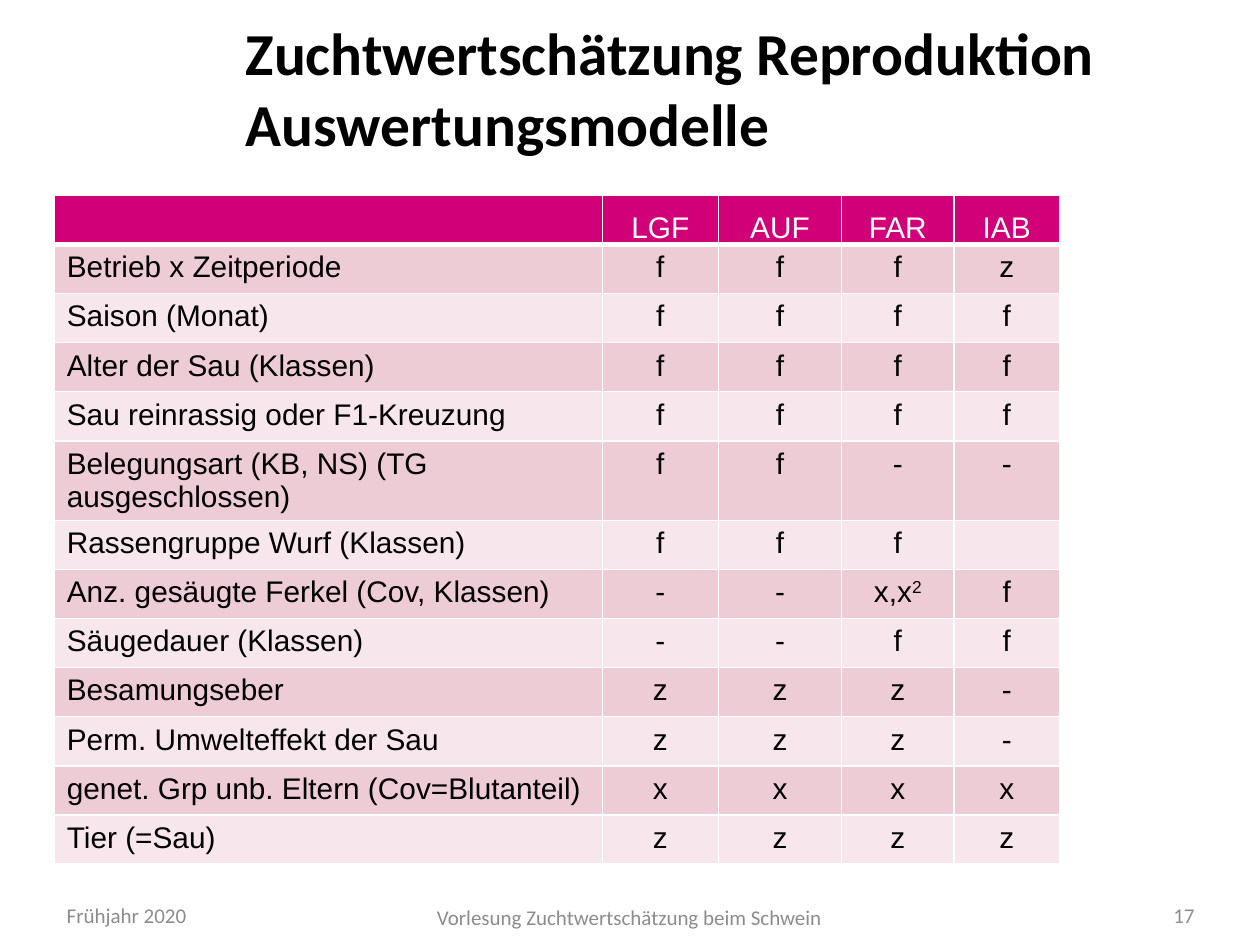
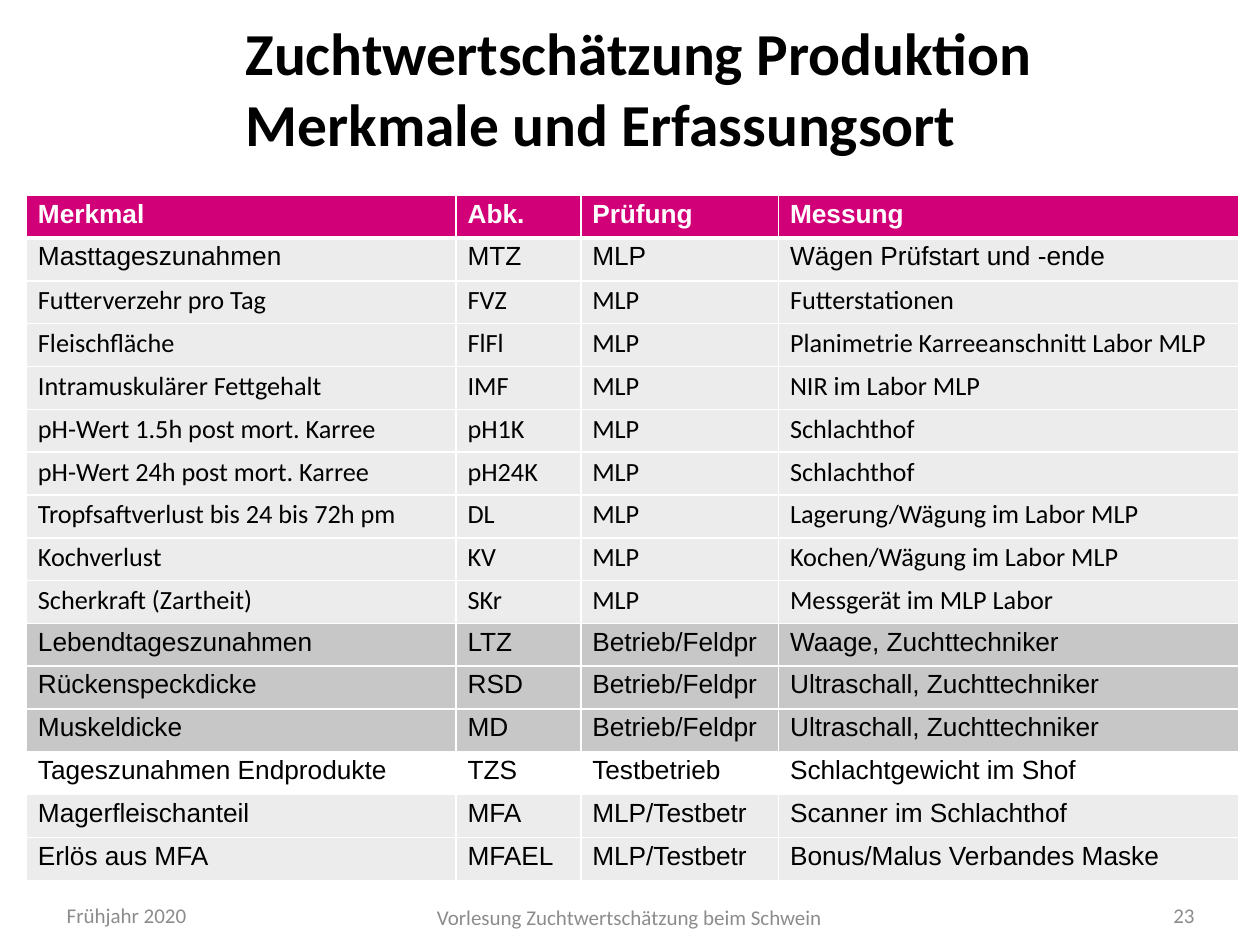
"""Build two lecture slides on pig breeding value estimation, each with a table."""
from lxml import etree
from pptx import Presentation
from pptx.dml.color import RGBColor
from pptx.enum import text
from pptx.oxml.ns import qn
from pptx.util import Pt

COLORS = {"head": "D20078", "white": "FFFFFF", "black": "000000", "footer": "8C8C8C",
          "rose": "EECCD6", "pale": "F7E7EC", "light": "ECECEC", "grey": "C7C7C7"}
LEFT, CENTER, RIGHT = text.PP_ALIGN.LEFT, text.PP_ALIGN.CENTER, text.PP_ALIGN.RIGHT
MIDDLE = text.MSO_ANCHOR.MIDDLE
TITLE = {"size": Pt(34), "name": "Calibri", "bold": True}
FOOTER = {"size": Pt(12), "name": "Calibri", "bold": False}

MODELS = [
    ("", "LGF", "AUF", "FAR", "IAB"),
    ("Betrieb x Zeitperiode", "f", "f", "f", "z"),
    ("Saison (Monat)", "f", "f", "f", "f"),
    ("Alter der Sau (Klassen)", "f", "f", "f", "f"),
    ("Sau reinrassig oder F1-Kreuzung", "f", "f", "f", "f"),
    ("Belegungsart (KB, NS) (TG ausgeschlossen)", "f", "f", "-", "-"),
    ("Rassengruppe Wurf (Klassen)", "f", "f", "f", ""),
    ("Anz. gesäugte Ferkel (Cov, Klassen)", "-", "-", "x,x^2", "f"),
    ("Säugedauer (Klassen)", "-", "-", "f", "f"),
    ("Besamungseber", "z", "z", "z", "-"),
    ("Perm. Umwelteffekt der Sau", "z", "z", "z", "-"),
    ("genet. Grp unb. Eltern (Cov=Blutanteil)", "x", "x", "x", "x"),
    ("Tier (=Sau)", "z", "z", "z", "z"),
]
TRAITS = [
    ("Merkmal", "Abk.", "Prüfung", "Messung"),
    ("Masttageszunahmen", "MTZ", "MLP", "Wägen Prüfstart und -ende"),
    ("Futterverzehr pro Tag", "FVZ", "MLP", "Futterstationen"),
    ("Fleischfläche", "FlFl", "MLP", "Planimetrie Karreeanschnitt Labor MLP"),
    ("Intramuskulärer Fettgehalt", "IMF", "MLP", "NIR im Labor MLP"),
    ("pH-Wert 1.5h post mort. Karree", "pH1K", "MLP", "Schlachthof"),
    ("pH-Wert 24h post mort. Karree", "pH24K", "MLP", "Schlachthof"),
    ("Tropfsaftverlust bis 24 bis 72h pm", "DL", "MLP", "Lagerung/Wägung im Labor MLP"),
    ("Kochverlust", "KV", "MLP", "Kochen/Wägung im Labor MLP"),
    ("Scherkraft (Zartheit)", "SKr", "MLP", "Messgerät im MLP Labor"),
    ("Lebendtageszunahmen", "LTZ", "Betrieb/Feldpr", "Waage, Zuchttechniker"),
    ("Rückenspeckdicke", "RSD", "Betrieb/Feldpr", "Ultraschall, Zuchttechniker"),
    ("Muskeldicke", "MD", "Betrieb/Feldpr", "Ultraschall, Zuchttechniker"),
    ("Tageszunahmen Endprodukte", "TZS", "Testbetrieb", "Schlachtgewicht im Shof"),
    ("Magerfleischanteil", "MFA", "MLP/Testbetr", "Scanner im Schlachthof"),
    ("Erlös aus MFA", "MFAEL", "MLP/Testbetr", "Bonus/Malus Verbandes Maske"),
]
SLIDES = [
    {"title": "Zuchtwertschätzung Reproduktion\vAuswertungsmodelle", "number": "17",
     "rows": MODELS, "left": 31, "cols": [313.2, 66.24, 70.56, 64.08, 60.48],
     "height": 28.08, "size": 17, "margins": (7.2, 3.6), "align": CENTER,
     "head_bold": False, "head_margins": (0.72, 0.72, 0.72, 0),
     "head_anchor": text.MSO_ANCHOR.BOTTOM,
     "fills": ["head"] + ["rose", "pale"] * 6, "calibri": ()},
    {"title": "Zuchtwertschätzung Produktion\vMerkmale und Erfassungsort", "number": "23",
     "rows": TRAITS, "left": 15.12, "cols": [245.52, 71.28, 113.04, 262.8],
     "height": 24.48, "size": 15, "margins": (6.6, 2.3), "align": LEFT,
     "head_bold": True, "head_margins": (6.6, 2.3, 6.6, 2.3),
     "head_anchor": text.MSO_ANCHOR.TOP,
     "fills": ["head"] + ["light"] * 9 + ["grey"] * 3 + ["white"] + ["light"] * 2,
     "calibri": range(2, 10)},
]


def write(p, content, color, fmt, align):
    p.alignment = align
    for i, part in enumerate(content.split("^")):
        r = p.add_run()
        r.text = part
        for key, value in fmt.items():
            setattr(r.font, key, value)
        r.font.color.rgb = RGBColor.from_string(COLORS[color])
        if i:
            r._r.get_or_add_rPr().set("baseline", "30000")


def add_border(cell, side, width):
    ln = etree.SubElement(cell._tc.get_or_add_tcPr(), qn("a:ln" + side), w=str(Pt(width)))
    fill = etree.SubElement(ln, qn("a:solidFill"))
    etree.SubElement(fill, qn("a:srgbClr"), val=COLORS["white"])


prs = Presentation()
prs.slide_width, prs.slide_height = Pt(720), Pt(540)

for data in SLIDES:
    s = prs.slides.add_slide(prs.slide_layouts[5])
    sp = s.shapes.title
    sp.left, sp.top, sp.width, sp.height = Pt(133.2), Pt(0), Pt(510.5), Pt(99.4)
    tf = sp.text_frame
    tf.vertical_anchor = MIDDLE
    p = tf.paragraphs[0]
    for i, line in enumerate(data["title"].split("\v")):
        if i:
            p.add_line_break()
        write(p, line, "black", TITLE, LEFT)

    rows, cols = data["rows"], data["cols"]
    frame = s.shapes.add_table(len(rows), len(cols), Pt(data["left"]), Pt(111.6),
                               Pt(sum(cols)), Pt(data["height"] * len(rows)))
    table = frame.table
    table.horz_banding = False
    for col, width in zip(table.columns, cols):
        col.width = Pt(width)
    for i, values in enumerate(rows):
        table.rows[i].height = Pt(data["height"])
        head = i == 0
        fmt = {"size": Pt(data["size"]), "bold": head and data["head_bold"],
               "name": "Calibri" if i in data["calibri"] else "Arial"}
        for j, value in enumerate(values):
            cell = table.cell(i, j)
            for side, width in (("L", 1), ("R", 1), ("T", 3 if i == 1 else 1),
                                ("B", 3 if head else 1)):
                add_border(cell, side, width)
            cell.fill.solid()
            cell.fill.fore_color.rgb = RGBColor.from_string(COLORS[data["fills"][i]])
            margins = data["head_margins"] if head else data["margins"] * 2
            for side, margin in zip(("left", "top", "right", "bottom"), margins):
                setattr(cell, "margin_" + side, Pt(margin if value else 0))
            cell.vertical_anchor = data["head_anchor"] if head else text.MSO_ANCHOR.TOP
            if value:
                write(cell.text_frame.paragraphs[0], value, "white" if head else "black",
                      fmt, data["align"] if j else LEFT)

    for content, left, top, width, align in (
            ("Vorlesung Zuchtwertschätzung beim Schwein", 118.8, 509.8, 481.7, CENTER),
            ("Frühjahr 2020", 31, 508.3, 85, LEFT),
            (data["number"], 637.9, 508.3, 51.8, RIGHT)):
        sp = s.shapes.add_textbox(Pt(left), Pt(top), Pt(width), Pt(28.8))
        tf = sp.text_frame
        tf.word_wrap = True
        tf.vertical_anchor = MIDDLE
        write(tf.paragraphs[0], content, "footer", FOOTER, align)

prs.save("out.pptx")
